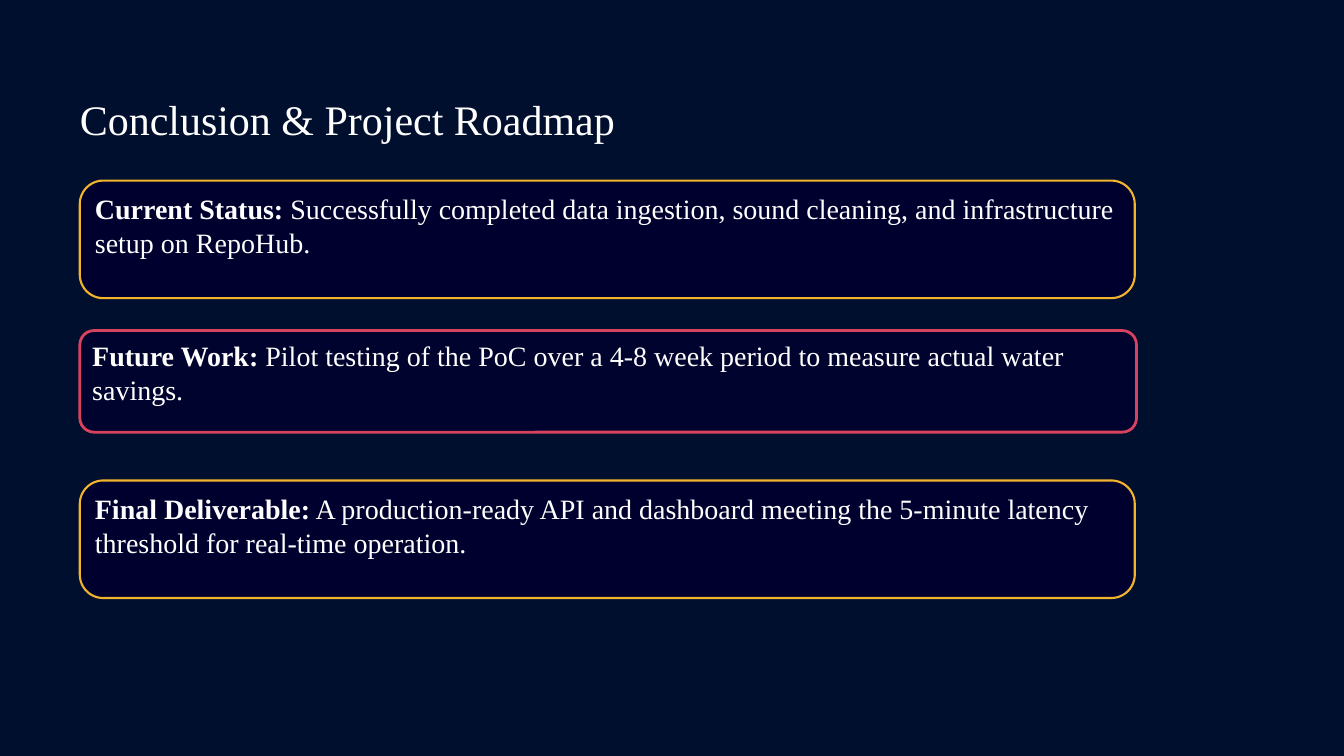
from dataclasses import dataclass

from lxml.etree import SubElement
from pptx import Presentation
from pptx.dml.color import RGBColor
from pptx.enum.shapes import MSO_SHAPE as Preset
from pptx.enum.text import MSO_ANCHOR as Anchor, MSO_AUTO_SIZE as AutoSize, PP_ALIGN as Align
from pptx.oxml.ns import qn
from pptx.slide import Slide
from pptx.text.text import Font
from pptx.util import Inches, Pt

SLIDE_WIDTH, SLIDE_HEIGHT = Inches(16), Inches(9)
COLUMN, ROW = SLIDE_WIDTH // 160, SLIDE_HEIGHT // 90
LEFT_COLUMN = 9.5
FIRST_PANEL_ROW, PANEL_PITCH = 21.5, 17.85

NAVY = RGBColor(0x00, 0x0F, 0x2E)
PANEL_NAVY = RGBColor(0x00, 0x00, 0x2E)
AMBER = RGBColor(0xF2, 0xB4, 0x2D)
CRIMSON = RGBColor(0xD7, 0x42, 0x5E)
WHITE = RGBColor(0xFF, 0xFF, 0xFF)
TYPEFACE = "Times New Roman"


@dataclass(frozen=True)
class Panel:
    heading: str
    detail: str
    outline: RGBColor = AMBER
    outline_points: float = 1.8
    columns: float = 125.6
    rows: float = 14
    rounding: float = 0.2
    opacity_percent: int = 100


PANELS = (
    Panel("Current Status:",
          " Successfully completed data ingestion, sound cleaning, "
          "and infrastructure setup on RepoHub."),
    Panel("Future Work:",
          " Pilot testing of the PoC over a 4-8 week period to measure actual water savings.",
          outline=CRIMSON, outline_points=2.4, columns=125.8, rows=12.1,
          rounding=0.14, opacity_percent=75),
    Panel("Final Deliverable:",
          " A production-ready API and dashboard meeting the 5-minute latency "
          "threshold for real-time operation."),
)


def style_font(font: Font, points: float, bold: bool = False) -> None:
    font.name = TYPEFACE
    font.size = Pt(points)
    font.bold = bold
    font.color.rgb = WHITE


def place_title(slide: Slide, wording: str) -> None:
    title = slide.shapes.title
    title.left, title.top = round(LEFT_COLUMN * COLUMN), round(9.5 * ROW)
    title.width, title.height = round(79.4 * COLUMN), round(7.4 * ROW)
    frame = title.text_frame
    frame.text = wording
    frame.auto_size = AutoSize.NONE
    frame.vertical_anchor = Anchor.TOP
    frame.margin_left = frame.margin_right = frame.margin_top = frame.margin_bottom = 0
    paragraph = frame.paragraphs[0]
    paragraph.alignment = Align.LEFT
    paragraph.line_spacing = Pt(55)
    style_font(paragraph.runs[0].font, 36)


def draw_panel(slide: Slide, panel: Panel, top_row: float) -> None:
    box = slide.shapes.add_shape(
        Preset.ROUNDED_RECTANGLE, round(LEFT_COLUMN * COLUMN), round(top_row * ROW),
        round(panel.columns * COLUMN), round(panel.rows * ROW))
    box.adjustments[0] = panel.rounding
    box.shadow.inherit = False
    box.fill.solid()
    box.fill.fore_color.rgb = PANEL_NAVY
    if panel.opacity_percent < 100:
        fill_color = box.fill._xPr.find(qn("a:solidFill"))[0]
        SubElement(fill_color, qn("a:alpha"), val=str(panel.opacity_percent * 1000))
    box.line.color.rgb = panel.outline
    box.line.width = Pt(panel.outline_points)

    frame = box.text_frame
    frame.word_wrap = True
    frame.vertical_anchor = Anchor.TOP
    paragraph = frame.paragraphs[0]
    paragraph.alignment = Align.LEFT
    for wording, bold in ((panel.heading, True), (panel.detail, False)):
        run = paragraph.add_run()
        run.text = wording
        style_font(run.font, 24, bold)


def main() -> None:
    presentation = Presentation()
    presentation.slide_width, presentation.slide_height = SLIDE_WIDTH, SLIDE_HEIGHT
    title_only = presentation.slide_layouts.get_by_name("Title Only")
    slide = presentation.slides.add_slide(title_only)
    slide.background.fill.solid()
    slide.background.fill.fore_color.rgb = NAVY

    place_title(slide, "Conclusion & Project Roadmap")
    for index, panel in enumerate(PANELS):
        draw_panel(slide, panel, FIRST_PANEL_ROW + index * PANEL_PITCH)
    presentation.save("out.pptx")


if __name__ == "__main__":
    main()
